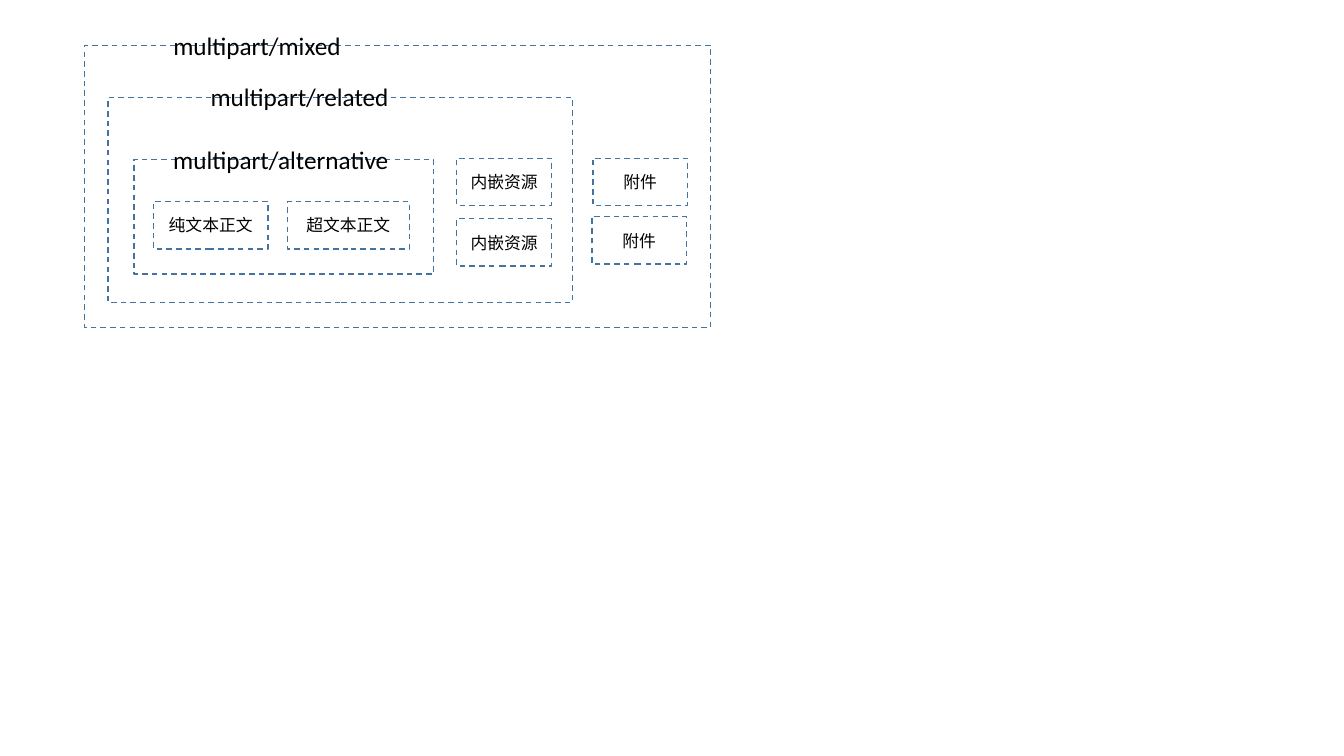
from dataclasses import dataclass

from pptx import Presentation
from pptx.dml.color import RGBColor
from pptx.enum.dml import MSO_LINE_DASH_STYLE as Dash
from pptx.enum.shapes import MSO_SHAPE as Shape
from pptx.enum.text import MSO_ANCHOR as Anchor, MSO_AUTO_SIZE as AutoSize, PP_ALIGN as Align
from pptx.util import Inches, Pt


@dataclass(frozen=True)
class Theme:
    ink: RGBColor = RGBColor(0, 0, 0)
    border: RGBColor = RGBColor(0x43, 0x73, 0x9E)
    font: str = "Calibri"
    label_size: Pt = Pt(18)
    part_size: Pt = Pt(12)
    border_width: Pt = Pt(1)


THEME = Theme()
COLUMNS, ROWS = 1333, 750
WIDTH, HEIGHT = Inches(13.33), Inches(7.5)
PART_WIDTH, PART_HEIGHT, PART_TOP = 94, 47, 157
LABEL_HEIGHT = 40


def place(column, row, columns, rows):
    across, down = WIDTH / COLUMNS, HEIGHT / ROWS
    return [round(n) for n in (column * across, row * down, columns * across, rows * down)]


def apply(target, values):
    for name, value in values.items():
        setattr(target, name, value)


def write(box, text, size, align):
    para = box.text_frame.paragraphs[0]
    para.alignment = align
    span = para.add_run()
    span.text = text
    apply(span.font, {"name": THEME.font, "size": size})
    span.font.color.rgb = THEME.ink


def add_frame(group, *cells):
    box = group.shapes.add_shape(Shape.RECTANGLE, *place(*cells))
    box.shadow.inherit = False
    box.fill.background()
    box.line.color.rgb = THEME.border
    apply(box.line, {"width": THEME.border_width, "dash_style": Dash.DASH})
    return box


def add_part(group, text, column, row, columns=PART_WIDTH):
    box = add_frame(group, column, row, columns, PART_HEIGHT)
    apply(box.text_frame, {"word_wrap": True, "vertical_anchor": Anchor.MIDDLE})
    write(box, text, THEME.part_size, Align.CENTER)


def add_stack(group, text, lefts, pitch):
    for index, left in enumerate(lefts):
        add_part(group, text, left, PART_TOP + index * pitch)


def add_label(group, text, column, row, columns):
    box = group.shapes.add_textbox(*place(column, row, columns, LABEL_HEIGHT))
    apply(box.text_frame, {"word_wrap": False, "auto_size": AutoSize.SHAPE_TO_FIT_TEXT})
    write(box, text, THEME.label_size, Align.LEFT)


def main():
    deck = Presentation()
    apply(deck, {"slide_width": WIDTH, "slide_height": HEIGHT})
    page = deck.slides.add_slide(deck.slide_layouts[6])
    message = page.shapes.add_group_shape()

    add_frame(message, 84, 45, 621, 280)
    add_frame(message, 107, 97, 461, 203)
    add_label(message, "multipart/mixed ", 162, 25, 201)
    add_label(message, "multipart/related", 199, 76, 199)
    add_stack(message, "内嵌资源", (453, 453), 60)
    add_frame(message, 133, 158, 297, 114)
    add_label(message, "multipart/alternative", 162, 138, 236)
    add_stack(message, "附件", (588, 587), 58)
    add_part(message, "纯文本正文", 152, 200, 114)
    add_part(message, "超文本正文", 285, 200, 121)

    deck.save("out.pptx")


main()
